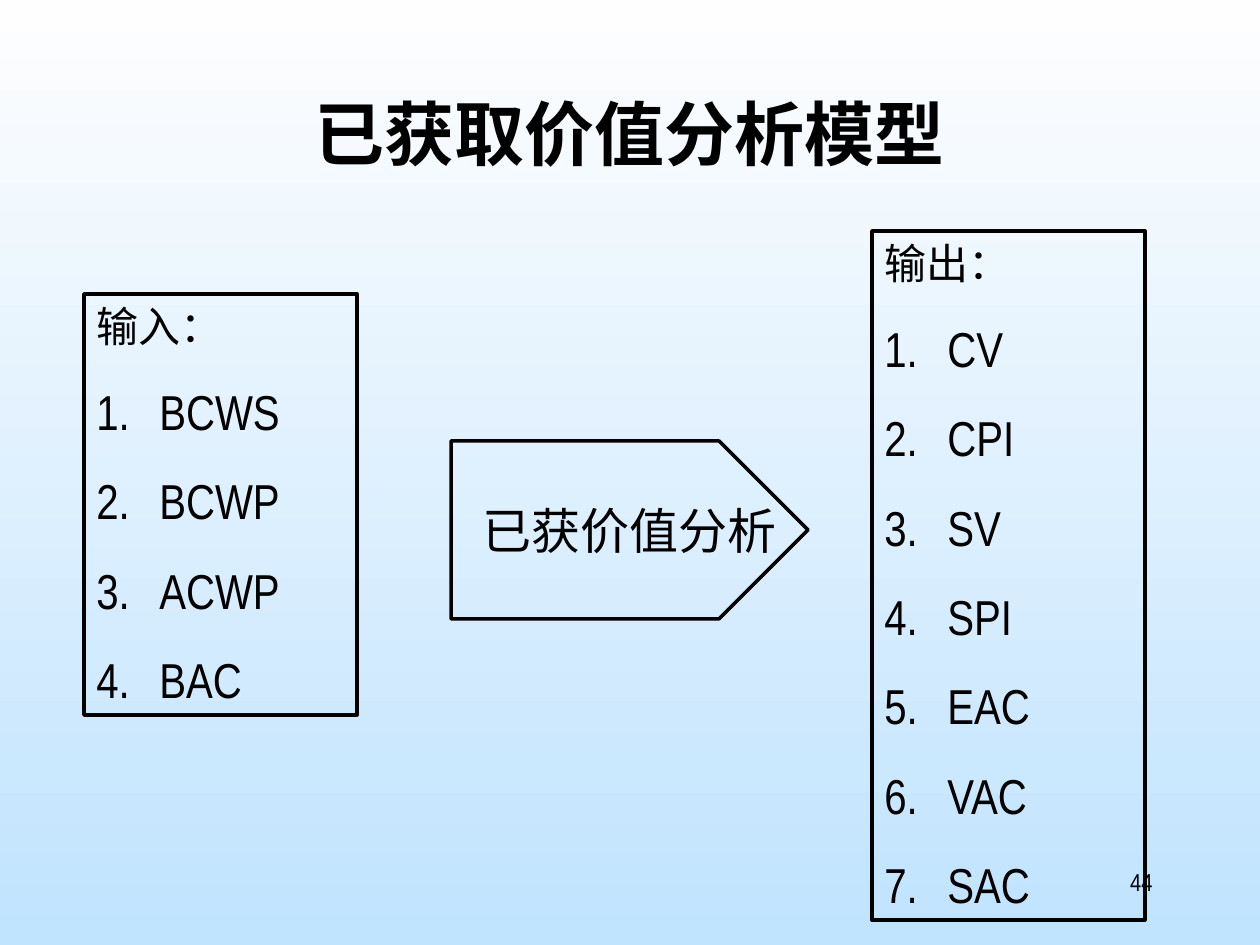
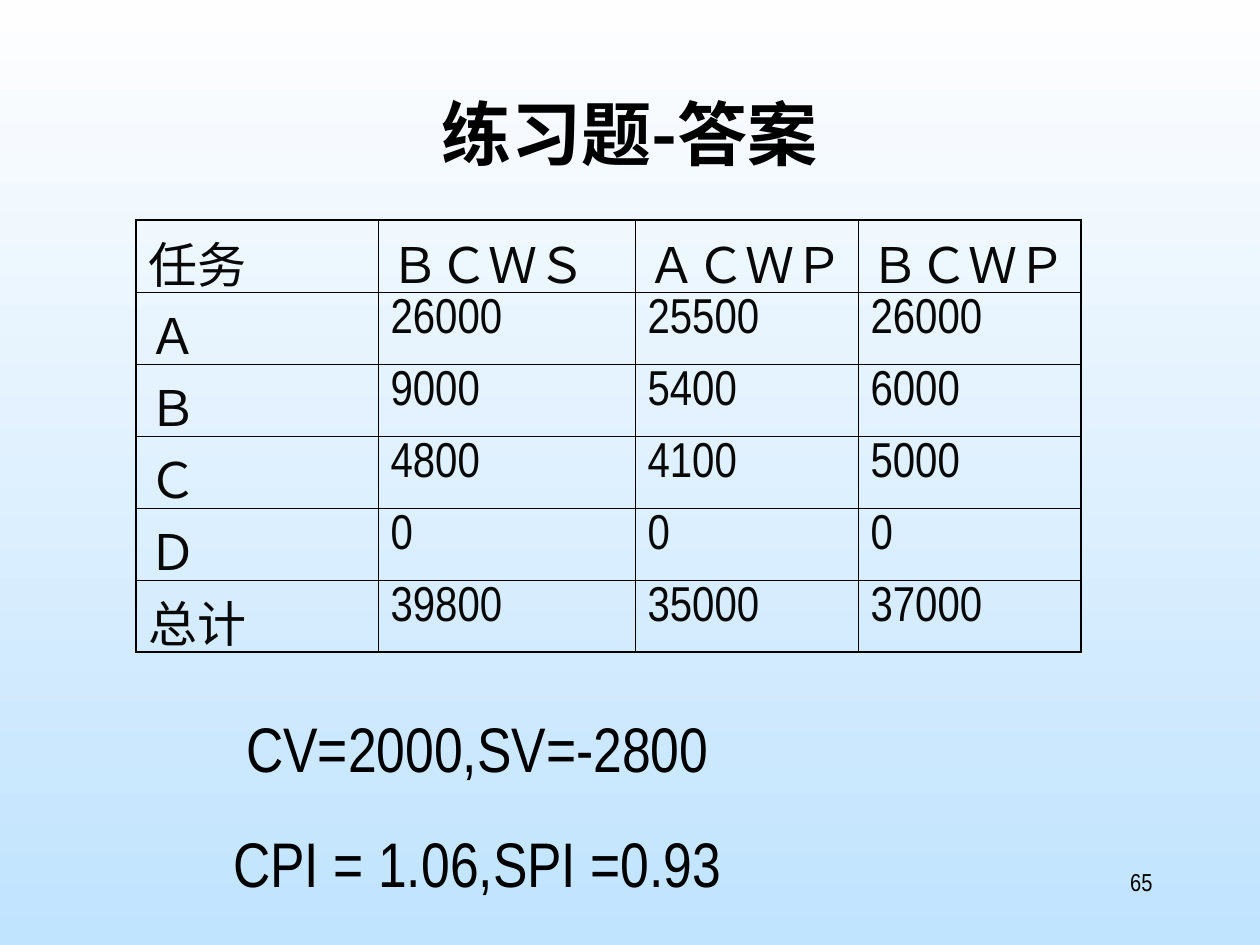
from pptx import Presentation
from pptx.dml.color import RGBColor
from pptx.enum.shapes import MSO_SHAPE as Shape
from pptx.enum.text import MSO_ANCHOR as Anchor, PP_ALIGN as Align
from pptx.oxml.ns import qn
from pptx.util import Pt
from lxml.etree import SubElement as sub

SCALE = 914400 / 126
BLACK = "000000"
INK = "080808"
SKY = ("FEFEFE", "C0E3FE")
BODY = "Arial Narrow"
HEAD = "Noto Sans CJK SC"
THIN, THICK = 0.45, 1.08


def px(*sizes):
    return [round(size * SCALE) for size in sizes]


def rgb(code):
    return RGBColor.from_string(code)


def write(frame, lines, size=28, font=BODY, color=BLACK, bold=False,
          align=Align.LEFT, gap=0, number=False, more=False):
    """Fill the frame with lines, or add them after its text if more is set."""
    for i, line in enumerate(lines):
        first = i == 0 and not more
        para = frame.paragraphs[0] if first else frame.add_paragraph()
        para.alignment = align
        para.space_before = Pt(0 if first else gap)
        if number:
            indent(para)
        run = para.add_run()
        run.text = line
        style = run.font
        style.size, style.bold, style.name = Pt(size), bold, font
        style.color.rgb = rgb(color)
        sub(run._r.get_or_add_rPr(), qn("a:ea"), typeface=HEAD)


def indent(para):
    props = para._p.get_or_add_pPr()
    step = px(63)[0]
    props.set("marL", str(step))
    props.set("indent", str(-step))
    sub(props, qn("a:buFont"), typeface=BODY)
    sub(props, qn("a:buAutoNum"), type="arabicPeriod")


def outline(shape):
    shape.shadow.inherit = False
    shape.fill.background()
    shape.line.color.rgb = rgb(BLACK)
    shape.line.width = Pt(2)


def label(slide, box, lines, **form):
    frame = slide.shapes.add_textbox(*px(*box)).text_frame
    frame.word_wrap = True
    write(frame, lines, **form)


def panel(slide, box, head, items):
    """Outlined box with a heading over a numbered list."""
    shape = slide.shapes.add_shape(Shape.RECTANGLE, *px(*box))
    outline(shape)
    frame = shape.text_frame
    frame.word_wrap = True
    frame.vertical_anchor = Anchor.TOP
    write(frame, [head], size=24)
    write(frame, items, gap=17.5, number=True, more=True)


def arrow(slide, box, text):
    """Block arrow whose tip is half as long as the arrow is high."""
    left, top, wide, high = box
    right, base, half = left + wide, top + high, high / 2
    path = slide.shapes.build_freeform(left, top, scale=SCALE)
    path.add_line_segments([(right - half, top), (right, top + half),
                            (right - half, base), (left, base)])
    shape = path.convert_to_shape()
    outline(shape)
    frame = shape.text_frame
    frame.word_wrap = False
    frame.vertical_anchor = Anchor.MIDDLE
    write(frame, [text], align=Align.CENTER)


def border(cell, widths):
    props = cell._tc.get_or_add_tcPr()
    for side, width in zip("LRTB", widths):
        line = sub(props, qn(f"a:ln{side}"), w=str(Pt(width)))
        fill = sub(line, qn("a:solidFill"))
        sub(fill, qn("a:srgbClr"), val=BLACK)


def grid(slide, left, top, cols, high, rows):
    box = px(left, top, sum(cols), high * len(rows))
    table = slide.shapes.add_table(len(rows), len(cols), *box).table
    table.first_row = table.horz_banding = False
    for col, wide in zip(table.columns, px(*cols)):
        col.width = wide
    last, end = len(rows) - 1, len(cols) - 1
    for r, row in enumerate(rows):
        table.rows[r].height = px(high)[0]
        for c, text in enumerate(row):
            cell = table.cell(r, c)
            write(cell.text_frame, [text], color=INK)
            edges = (c == 0, c == end, r == 0, r == last)
            border(cell, [THICK if edge else THIN for edge in edges])
            cell.fill.background()


def sky(deck):
    fill = deck.slide_master.background.fill
    fill.gradient()
    fill.gradient_angle = 270
    for stop, color, place in zip(fill.gradient_stops, SKY, (0, 1)):
        stop.color.rgb = rgb(color)
        stop.position = place


def page(deck, title, number):
    """Add a slide with its title and page number."""
    slide = deck.slides.add_slide(deck.slide_layouts[5])
    head = slide.shapes.title
    head.left, head.top, head.width, head.height = px(94, 84, 1071, 158)
    head.text_frame.vertical_anchor = Anchor.TOP
    write(head.text_frame, [title], size=40, font=HEAD, bold=True,
          align=Align.CENTER)
    label(slide, (903, 861, 262, 63), [number], size=14, align=Align.RIGHT)
    return slide


def main():
    deck = Presentation()
    deck.slide_width, deck.slide_height = px(1260, 945)
    sky(deck)

    model = page(deck, "已获取价值分析模型", "44")
    panel(model, (84, 294, 273, 421), "输入：",
          ["BCWS", "BCWP", "ACWP", "BAC"])
    panel(model, (872, 231, 273, 689), "输出：",
          ["CV", "CPI", "SV", "SPI", "EAC", "VAC", "SAC"])
    arrow(model, (451, 441, 357, 178), "已获价值分析")

    answer = page(deck, "练习题-答案", "65")
    grid(answer, 136, 220, (242, 257, 223, 223), 72, [
        ("任务", "ＢＣＷＳ", "ＡＣＷＰ", "ＢＣＷＰ"),
        ("Ａ", "26000", "25500", "26000"),
        ("Ｂ", "9000", "5400", "6000"),
        ("Ｃ", "4800", "4100", "5000"),
        ("Ｄ", "0", "0", "0"),
        ("总计", "39800", "35000", "37000"),
    ])
    label(answer, (136, 703, 683, 204),
          ["CV=2000,SV=-2800", "CPI = 1.06,SPI =0.93"],
          size=36, align=Align.CENTER, gap=22.5)

    deck.save("out.pptx")


if __name__ == "__main__":
    main()
